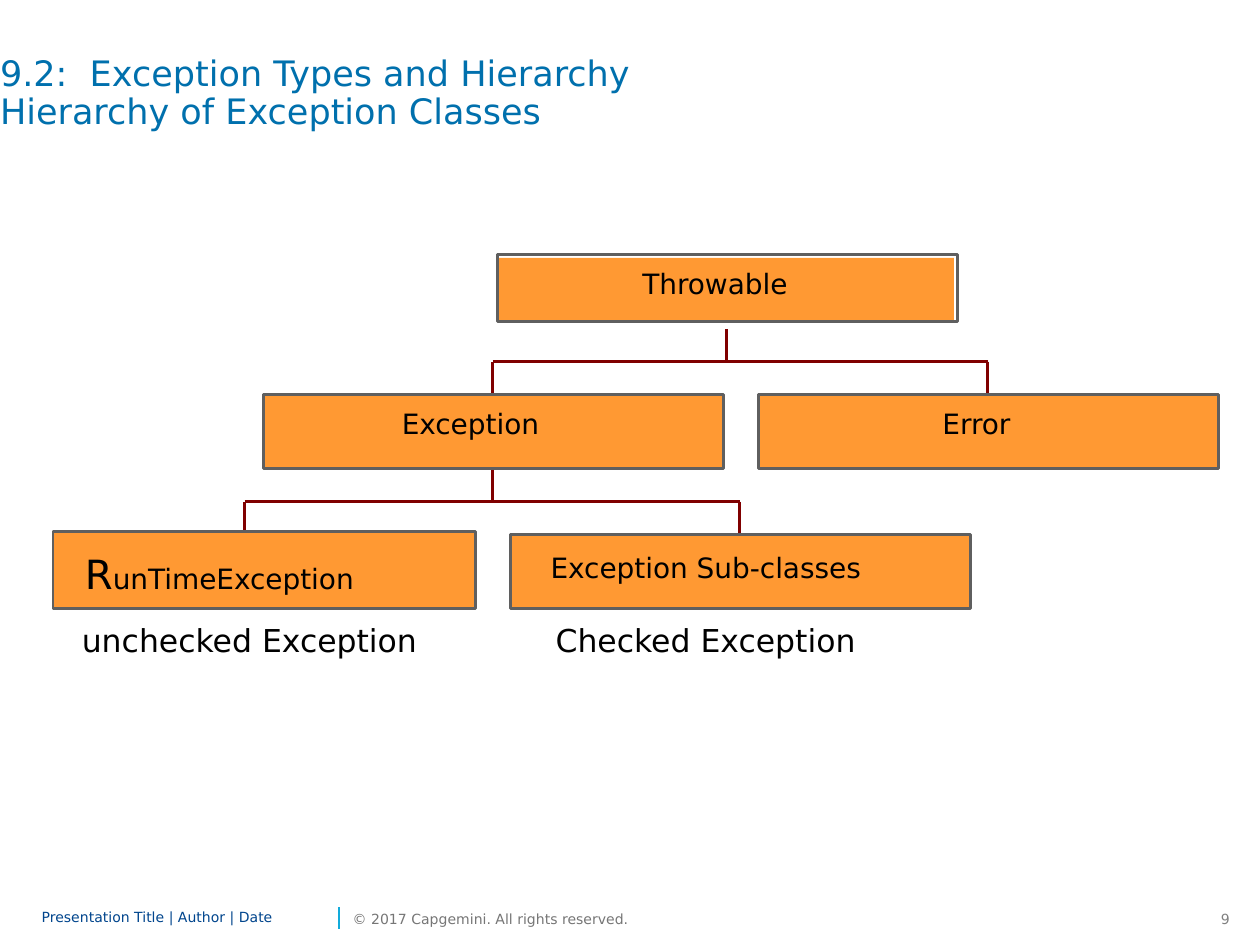
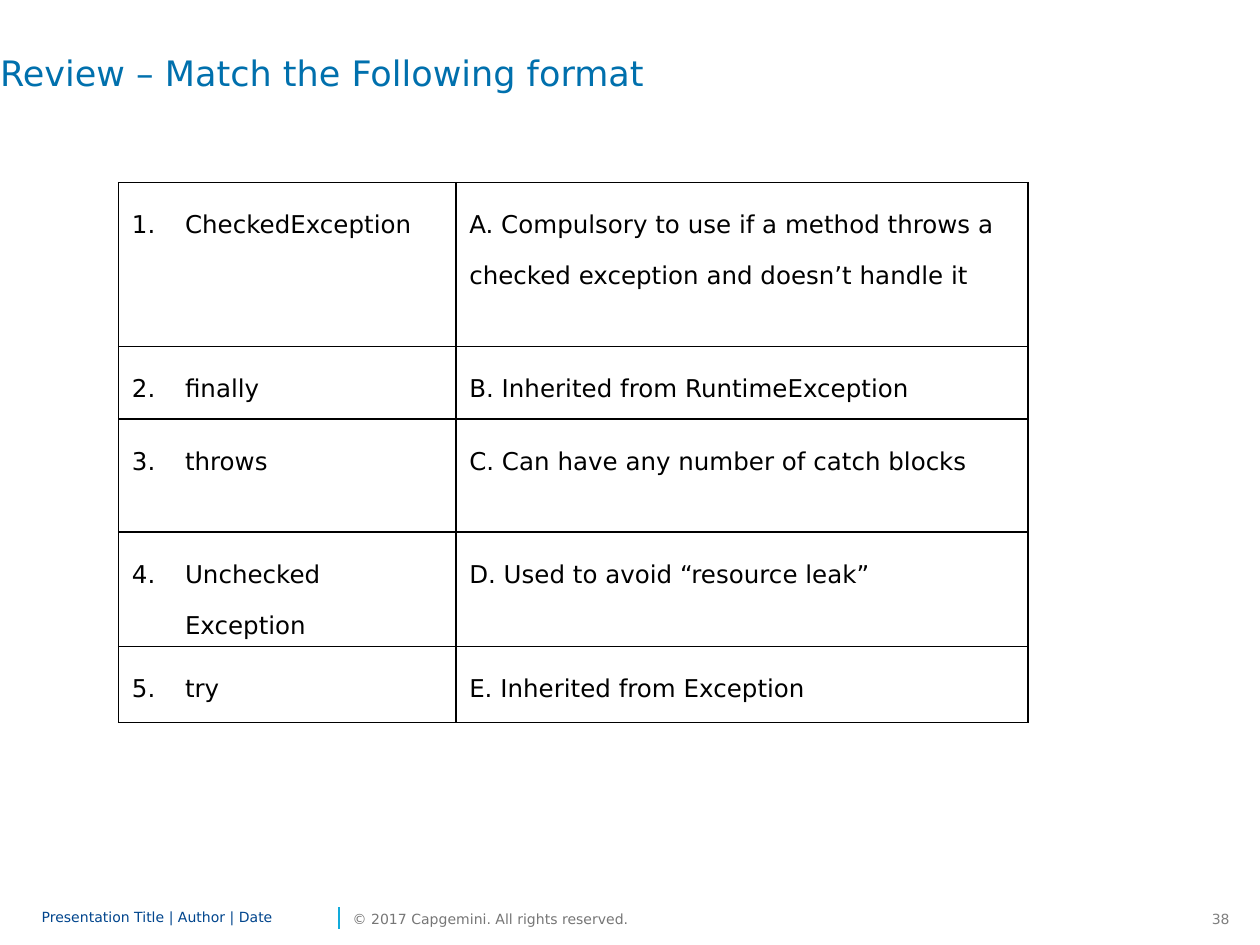
from lxml import etree
from pptx import Presentation
from pptx.dml.color import RGBColor
from pptx.enum.shapes import MSO_CONNECTOR, MSO_SHAPE
from pptx.enum.text import MSO_ANCHOR, MSO_AUTO_SIZE, PP_ALIGN
from pptx.oxml.ns import qn
from pptx.util import Cm, Pt

STRAIGHT = MSO_CONNECTOR.STRAIGHT
RECTANGLE = MSO_SHAPE.RECTANGLE
TOP, MIDDLE = MSO_ANCHOR.TOP, MSO_ANCHOR.MIDDLE
LEFT, RIGHT = PP_ALIGN.LEFT, PP_ALIGN.RIGHT
NO_AUTOFIT = MSO_AUTO_SIZE.NONE
TITLE_ONLY = 5

FONT = "DejaVu Sans"
TITLE_BLUE = "0070AD"
FOOTER_BLUE = "00458D"
DIVIDER_CYAN = "12ABDB"
COPYRIGHT_GREY = "767676"
NUMBER_GREY = "808080"
BOX_ORANGE = "FF9933"
BOX_BORDER = "5F5F5F"
TREE_RED = "800000"
BLACK = "000000"
WHITE = "FFFFFF"
TREE_WEIGHT = 1.63

MATCHES = [
    ("CheckedException", "A. Compulsory to use if a method throws a checked exception and doesn’t handle it"),
    ("finally", "B. Inherited from RuntimeException"),
    ("throws", "C. Can have any number of catch blocks"),
    ("Unchecked Exception", "D. Used to avoid “resource leak”"),
    ("try", "E. Inherited from Exception"),
]
COLUMN_WIDTHS = (6.8, 11.53)
ROW_HEIGHTS = (3.3, 1.47, 2.28, 2.28, 1.53)


def color(code):
    return RGBColor.from_string(code)


def style(font, size, code):
    font.name = FONT
    font.size = Pt(size)
    font.color.rgb = color(code)


def set_margins(frame, left=0, top=0, right=0, bottom=0):
    frame.margin_left, frame.margin_top = Cm(left), Cm(top)
    frame.margin_right, frame.margin_bottom = Cm(right), Cm(bottom)


def add_text(page, place, text, size, code, anchor=MIDDLE, align=LEFT, spacing=None):
    box = page.shapes.add_textbox(*map(Cm, place))
    frame = box.text_frame
    frame.word_wrap = True
    frame.vertical_anchor = anchor
    set_margins(frame)
    para = frame.paragraphs[0]
    para.text = text
    para.alignment = align
    para.line_spacing = spacing
    style(para.font, size, code)


def add_line(page, start, end, code, weight):
    line = page.shapes.add_connector(STRAIGHT, *map(Cm, start + end))
    line.line.color.rgb = color(code)
    line.line.width = Pt(weight)
    etree.SubElement(line._element.spPr, qn("a:effectLst"))


def add_rectangle(page, place, fill=None, border=None):
    box = page.shapes.add_shape(RECTANGLE, *map(Cm, place))
    box.shadow.inherit = False
    if fill:
        box.fill.solid()
        box.fill.fore_color.rgb = color(fill)
    else:
        box.fill.background()
    if border:
        box.line.color.rgb = color(border)
        box.line.width = Pt(TREE_WEIGHT)
    else:
        box.line.fill.background()
    return box


def add_class_box(page, place, spans, inset, border=BOX_BORDER):
    box = add_rectangle(page, place, BOX_ORANGE, border)
    frame = box.text_frame
    frame.word_wrap = True
    frame.vertical_anchor = TOP
    set_margins(frame, *inset)
    para = frame.paragraphs[0]
    para.alignment = LEFT
    for text, size in spans:
        span = para.add_run()
        span.text = text
        style(span.font, size, BLACK)


def add_fork(page, stem, top, bar, bottom, children):
    def branch(start, end):
        add_line(page, start, end, TREE_RED, TREE_WEIGHT)

    branch((stem, top), (stem, bar))
    branch((children[0], bar), (children[-1], bar))
    for child in children:
        branch((child, bar), (child, bottom))


def add_page(deck, title, number):
    page = deck.slides.add_slide(deck.slide_layouts[TITLE_ONLY])
    heading = page.shapes.title
    heading.left, heading.top, heading.width, heading.height = map(Cm, (0, 1.14, 23.7, 2.39))
    frame = heading.text_frame
    frame.text = title
    frame.auto_size = NO_AUTOFIT
    frame.vertical_anchor = TOP
    set_margins(frame)
    para = frame.paragraphs[0]
    para.alignment = LEFT
    para.line_spacing = 0.9
    style(para.font, 20, TITLE_BLUE)

    add_text(page, (0.84, 18.21, 5.89, 0.61), "Presentation Title | Author | Date",
             8, FOOTER_BLUE, spacing=0.85)
    add_line(page, (6.83, 18.72), (6.83, 18.29), DIVIDER_CYAN, 1)
    add_text(page, (7.11, 18.21, 6, 0.61), "© 2017 Capgemini. All rights reserved.",
             8, COPYRIGHT_GREY)
    add_text(page, (23.8, 18.21, 0.99, 0.61), str(number), 8, NUMBER_GREY, align=RIGHT)
    return page


def add_hierarchy(page):
    add_fork(page, 14.64, 6.63, 7.29, 7.95, (9.93, 19.91))
    add_fork(page, 9.93, 9.45, 10.11, 10.77, (4.93, 14.91))
    add_class_box(page, (10.03, 5.2, 9.2, 1.27), [("Throwable", 16)], (2.92, 0.18), border=None)
    add_rectangle(page, (10.03, 5.13, 9.27, 1.35), border=BOX_BORDER)
    add_class_box(page, (5.31, 7.95, 9.27, 1.5), [("Exception", 16)], (2.79, 0.25))
    add_class_box(page, (15.29, 7.95, 9.27, 1.5), [("Error", 16)], (3.71, 0.25))
    add_class_box(page, (1.07, 10.72, 8.51, 1.55), [("R", 23), ("unTimeException", 16)], (0.64, 0.36))
    add_class_box(page, (10.29, 10.77, 9.27, 1.5), [("Exception Sub-classes", 16)], (0.81, 0.33))
    for left, caption in ((1.65, "unchecked Exception"), (11.2, "Checked Exception")):
        add_text(page, (left, 12.52, 7.2, 0.8), caption, 18, BLACK, anchor=TOP)


def add_borders(cell):
    properties = cell._tc.get_or_add_tcPr()
    for side in ("a:lnL", "a:lnR", "a:lnT", "a:lnB"):
        line = etree.SubElement(properties, qn(side), w=str(Pt(1)))
        fill = etree.SubElement(line, qn("a:solidFill"))
        etree.SubElement(fill, qn("a:srgbClr"), val=BLACK)


def add_number(para, number):
    properties = para._p.get_or_add_pPr()
    properties.set("marL", str(Cm(1.07)))
    properties.set("indent", str(-Cm(1.07)))
    etree.SubElement(properties, qn("a:buAutoNum"), type="arabicPeriod", startAt=str(number))


def fill_cell(cell, text, number=None):
    add_borders(cell)
    cell.fill.solid()
    cell.fill.fore_color.rgb = color(WHITE)
    set_margins(cell, 0.27, 0.13, 0.27, 0.13)
    para = cell.text_frame.paragraphs[0]
    para.text = text
    if number:
        add_number(para, number)
    para.line_spacing = Pt(29)
    style(para.font, 14, BLACK)


def add_match_table(page):
    place = (2.39, 3.68, sum(COLUMN_WIDTHS), sum(ROW_HEIGHTS))
    table = page.shapes.add_table(len(MATCHES), 2, *map(Cm, place)).table
    table.first_row = False
    table.horz_banding = False
    for column, width in zip(table.columns, COLUMN_WIDTHS):
        column.width = Cm(width)
    for index, (term, meaning) in enumerate(MATCHES):
        table.rows[index].height = Cm(ROW_HEIGHTS[index])
        fill_cell(table.cell(index, 0), term, index + 1)
        fill_cell(table.cell(index, 1), meaning)


def main():
    deck = Presentation()
    deck.slide_width, deck.slide_height = Cm(25.4), Cm(19.05)
    add_hierarchy(add_page(
        deck, "9.2:  Exception Types and Hierarchy\vHierarchy of Exception Classes", 9))
    add_match_table(add_page(deck, "Review – Match the Following format", 38))
    deck.save("out.pptx")


if __name__ == "__main__":
    main()
